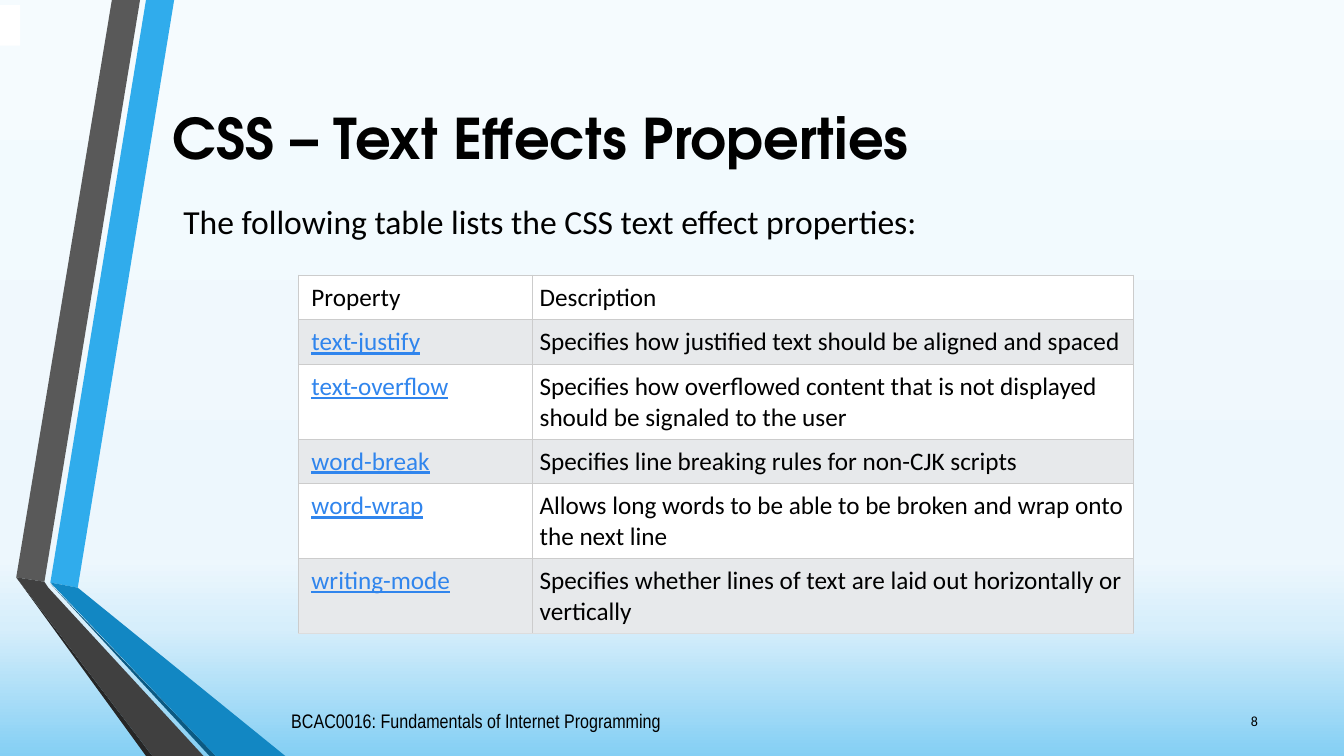
from lxml import etree
from pptx import Presentation
from pptx import util as u
from pptx.dml.color import RGBColor
from pptx.enum import shapes, text
from pptx.oxml.ns import qn

BLACK, WHITE, STRIPE, LINK = "000000", "FFFFFF", "E7E9EB", "3085ED"
SKY = [(0, "F5FBFE"), (74, "EDF7FD"), (83, "D6EEFB"), (100, "84CFF4")]

# Ribbon corners in centimetres, back to front
RIBBONS = [
    ("30ACEC", [(1.27, 14.68), (1.96, 14.81), (4.39, 0), (3.68, 0)]),
    ("595959", [(3.53, 0), (2.82, 0), (0.41, 14.55), (1.12, 14.66)]),
    ("262626", [(0.41, 14.55), (3.68, 19.05), (3.84, 19.05)]),
    ("0C5A82", [(1.27, 14.71), (5.28, 19.05), (5.44, 19.05)]),
    ("1287C3", [(1.27, 14.68), (5.44, 19.05), (7.19, 19.05), (1.96, 14.81)]),
    ("404040", [(5.13, 19.05), (1.22, 14.81), (1.12, 14.66), (0.41, 14.55),
                (3.84, 19.05)]),
]

# Property, description, row height in centimetres
PROPERTIES = [
    ("Property", "Description", 1.11),
    ("text-justify",
     "Specifies how justified text should be aligned and spaced", 1.11),
    ("text-overflow", "Specifies how overflowed content that is not displayed "
     "should be signaled to the user", 1.88),
    ("word-break", "Specifies line breaking rules for non-CJK scripts", 1.11),
    ("word-wrap", "Allows long words to be able to be broken and wrap onto "
     "the next line", 1.88),
    ("writing-mode", "Specifies whether lines of text are laid out "
     "horizontally or vertically", 1.88),
]


def rgb(value):
    return RGBColor.from_string(value)


class SlideBuilder:
    def __init__(self, page, font="Calibri"):
        self.page = page
        self.font = font

    def background(self, stops):
        fill = self.page.background.fill
        fill.gradient()
        fill.gradient_angle = 270
        stop_list = next(self.page.element.iter(qn("a:gsLst")))
        for stop in list(stop_list):
            stop_list.remove(stop)
        for percent, color in stops:
            stop = etree.SubElement(stop_list, qn("a:gs"), pos=str(percent * 1000))
            etree.SubElement(stop, qn("a:srgbClr"), val=color)

    def paint(self, shape, color):
        shape.shadow.inherit = False
        shape.fill.solid()
        shape.fill.fore_color.rgb = rgb(color)
        shape.line.fill.background()

    def polygon(self, color, corners):
        points = [(u.Cm(x), u.Cm(y)) for x, y in corners]
        outline = self.page.shapes.build_freeform(*points[0], scale=1.0)
        outline.add_line_segments(points[1:], close=True)
        self.paint(outline.convert_to_shape(), color)

    def rectangle(self, color, *place):
        box = self.page.shapes.add_shape(
            shapes.MSO_SHAPE.RECTANGLE, *map(u.Cm, place))
        self.paint(box, color)

    def set_text(self, para, words, size, color=BLACK, font=None):
        para.text = words
        para.font.name = font or self.font
        para.font.size = u.Pt(size)
        para.font.color.rgb = rgb(color)

    def label(self, words, place, size, font=None, bold=False,
              align=text.PP_ALIGN.LEFT):
        frame = self.page.shapes.add_textbox(*map(u.Cm, place)).text_frame
        frame.word_wrap = True
        frame.vertical_anchor = text.MSO_ANCHOR.MIDDLE
        para = frame.paragraphs[0]
        self.set_text(para, words, size, font=font)
        para.font.bold = bold
        para.alignment = align

    def border(self, cell, bottom):
        properties = cell._tc.get_or_add_tcPr()
        for side in "LRTB":
            line = etree.SubElement(properties, qn("a:ln" + side),
                                    w=str(u.Pt(0.6)))
            fill = etree.SubElement(line, qn("a:solidFill"))
            etree.SubElement(fill, qn("a:srgbClr"),
                             val=bottom if side == "B" else "CCCCCC")

    def table(self, rows, left, top, widths):
        height = sum(row[-1] for row in rows)
        grid = self.page.shapes.add_table(
            len(rows), len(widths),
            *map(u.Cm, (left, top, sum(widths), height))).table
        grid.first_row = grid.horz_banding = False
        for column, width in zip(grid.columns, widths):
            column.width = u.Cm(width)
        for r, (*words, row_height) in enumerate(rows):
            grid.rows[r].height = u.Cm(row_height)
            for c, content in enumerate(words):
                cell = grid.cell(r, c)
                is_link = r > 0 and c == 0
                cell.margin_left = u.Cm(0.18 if c else 0.33)
                cell.margin_right = cell.margin_top = cell.margin_bottom = u.Cm(0.18)
                self.border(cell, "DDDDDD" if r == len(rows) - 1 else "CCCCCC")
                cell.fill.solid()
                cell.fill.fore_color.rgb = rgb(STRIPE if r % 2 else WHITE)
                para = cell.text_frame.paragraphs[0]
                self.set_text(para, content, 18, LINK if is_link else BLACK)
                para.font.underline = is_link


def main():
    deck = Presentation()
    deck.slide_width, deck.slide_height = u.Cm(33.87), u.Cm(19.05)
    slide = SlideBuilder(deck.slides.add_slide(deck.slide_layouts[6]))
    slide.background(SKY)
    for color, corners in RIBBONS:
        slide.polygon(color, corners)
    slide.label("CSS – Text Effects Properties", (4.11, 1.02, 27.84, 4.88), 40,
                font="TeX Gyre Adventor", bold=True)
    slide.label("The following table lists the CSS text effect properties:",
                (4.37, 4.92, 27.84, 1.3), 24)
    slide.label("8", (30.43, 17.65, 1.52, 1.02), 10, align=text.PP_ALIGN.RIGHT)
    slide.label("BCAC0016: Fundamentals of Internet Programming",
                (7.09, 17.65, 19.69, 1.02), 14, font="Arial Narrow")
    slide.rectangle(WHITE, 0, 0.13, 0.51, 1.02)
    slide.table(PROPERTIES, 7.52, 6.93, (5.9, 15.14))
    deck.save("out.pptx")


if __name__ == "__main__":
    main()
